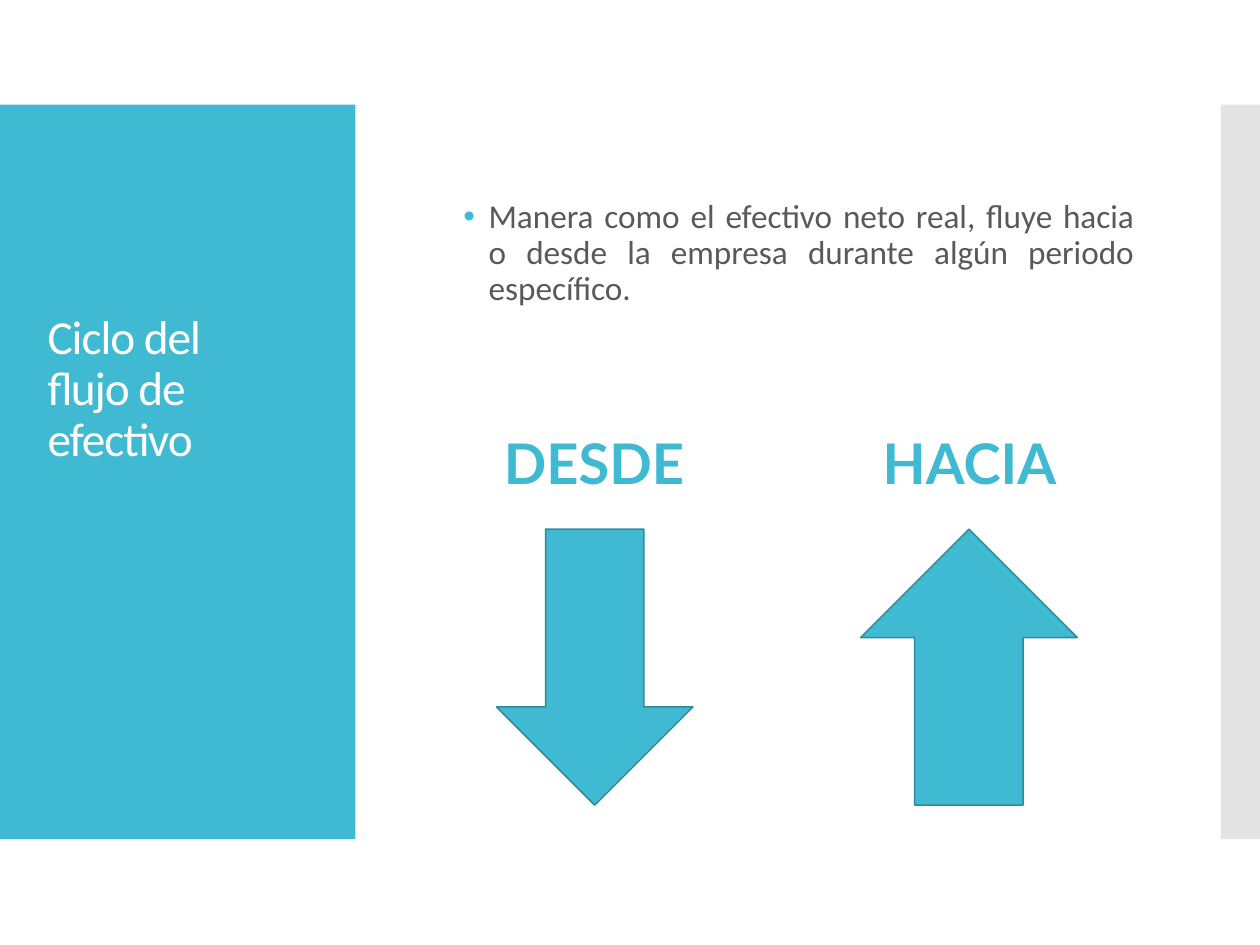
from dataclasses import dataclass

from lxml.etree import SubElement
from pptx import Presentation
from pptx.dml.color import RGBColor
from pptx.enum.shapes import MSO_SHAPE as Preset
from pptx.enum.text import MSO_ANCHOR as Anchor, PP_ALIGN as Align
from pptx.oxml.ns import qn
from pptx.util import Inches, Pt

WIDTH, HEIGHT = Inches(10), Inches(7.5)
COLUMNS, ROWS = 100, 75
COLORS = {
    "accent": "40BAD2",
    "outline": "2F8A9B",
    "edge": "C8C8C8",
    "title": "FFFFFF",
    "body": "595959",
}


@dataclass(frozen=True)
class Box:
    """A place on the grid, in columns and rows."""
    column: float
    row: float
    columns: float
    rows: float

    def emu(self) -> tuple:
        return (int(WIDTH * self.column / COLUMNS), int(HEIGHT * self.row / ROWS),
                int(WIDTH * self.columns / COLUMNS), int(HEIGHT * self.rows / ROWS))


@dataclass(frozen=True)
class Flow:
    """A direction of cash: its label and its arrow."""
    label: str
    label_column: float
    arrow: Preset
    arrow_column: float
    arrow_columns: float


FLOWS = [
    Flow("DESDE", 35.8, Preset.DOWN_ARROW, 39.4, 15.6),
    Flow("HACIA", 65.6, Preset.UP_ARROW, 68.3, 17.2),
]


def color(name: str) -> RGBColor:
    return RGBColor.from_string(COLORS[name])


def add_filled(slide, preset: Preset, box: Box, fill: str, outline: str = ""):
    shape = slide.shapes.add_shape(preset, *box.emu())
    shape.shadow.inherit = False
    shape.fill.solid()
    shape.fill.fore_color.rgb = color(fill)
    if outline:
        shape.line.color.rgb = color(outline)
        shape.line.width = Pt(0.85)
    else:
        shape.line.fill.background()
    return shape


def add_text(slide, box: Box, text: str, size: float, ink: str,
             font: str = "Calibri", anchor: Anchor = Anchor.MIDDLE):
    frame = slide.shapes.add_textbox(*box.emu()).text_frame
    frame.word_wrap = True
    frame.vertical_anchor = anchor
    paragraph = frame.paragraphs[0]
    paragraph.text = text
    paragraph.font.name = font
    paragraph.font.size = Pt(size)
    paragraph.font.color.rgb = color(ink)
    return paragraph


def add_bullet(paragraph, ink: str, indent: float) -> None:
    properties = paragraph._p.get_or_add_pPr()
    properties.set("marL", str(Inches(indent)))
    properties.set("indent", str(-Inches(indent)))
    bullet_color = SubElement(properties, qn("a:buClr"))
    SubElement(bullet_color, qn("a:srgbClr"), val=COLORS[ink])
    SubElement(properties, qn("a:buFont"), typeface="Arial")
    SubElement(properties, qn("a:buChar"), char="•")
    # The schema wants the default run properties after the bullet
    properties.append(properties.find(qn("a:defRPr")))


def add_flow(slide, flow: Flow) -> None:
    label = add_text(slide, Box(flow.label_column, 33.5, 22.7, 6.4), flow.label,
                     32, "accent", "Lato", Anchor.TOP)
    label.alignment = Align.CENTER
    label.font.bold = True
    add_filled(slide, flow.arrow, Box(flow.arrow_column, 42, flow.arrow_columns, 21.9),
               "accent", "outline")


def main() -> None:
    deck = Presentation()
    deck.slide_width, deck.slide_height = WIDTH, HEIGHT
    slide = deck.slides.add_slide(deck.slide_layouts[6])

    # Side panel and translucent right edge
    add_filled(slide, Preset.RECTANGLE, Box(0, 8.3, 28.2, 58.3), "accent")
    edge = add_filled(slide, Preset.RECTANGLE, Box(96.9, 8.3, 3.1, 58.3), "edge")
    edge_color = edge.fill._xPr.find(f".//{qn('a:srgbClr')}")
    SubElement(edge_color, qn("a:alpha"), val="50000")

    # Title
    title = add_text(slide, Box(2.8, 25.1, 17.4, 11.7), "Ciclo del flujo de efectivo",
                     27, "title")
    title.line_spacing = 0.9
    title.runs[0].font._element.set("spc", "-60")

    # Definition
    definition = add_text(
        slide, Box(35.8, 12.3, 55.2, 15.7),
        "Manera como el efectivo neto real, fluye hacia o desde la empresa "
        "durante algún periodo específico.", 19, "body")
    definition.alignment = Align.JUSTIFY
    definition.line_spacing = 0.9
    definition.space_before = Pt(12)
    add_bullet(definition, "accent", 0.2)

    # Directions of the cash flow
    for flow in FLOWS:
        add_flow(slide, flow)

    deck.save("out.pptx")


if __name__ == "__main__":
    main()
